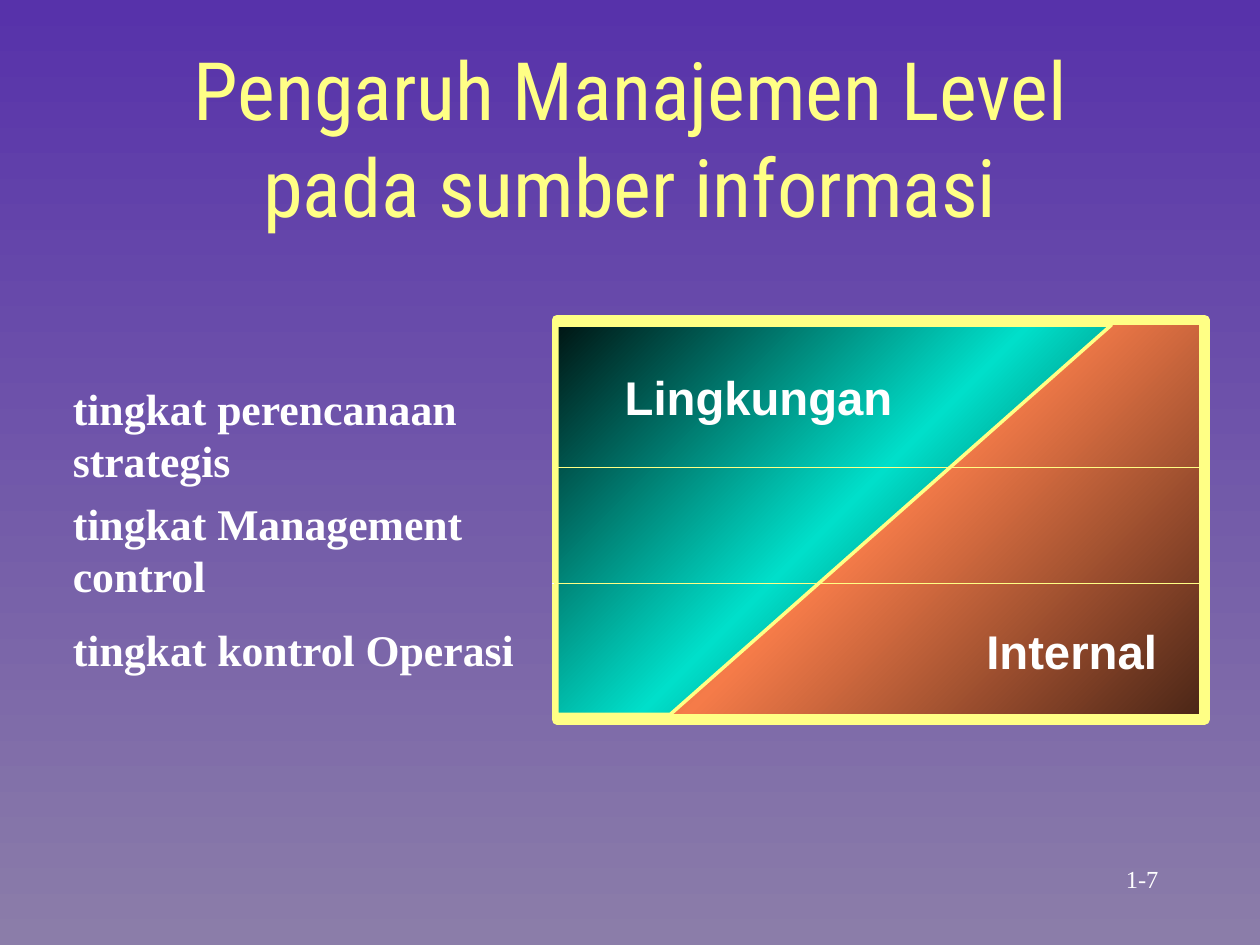
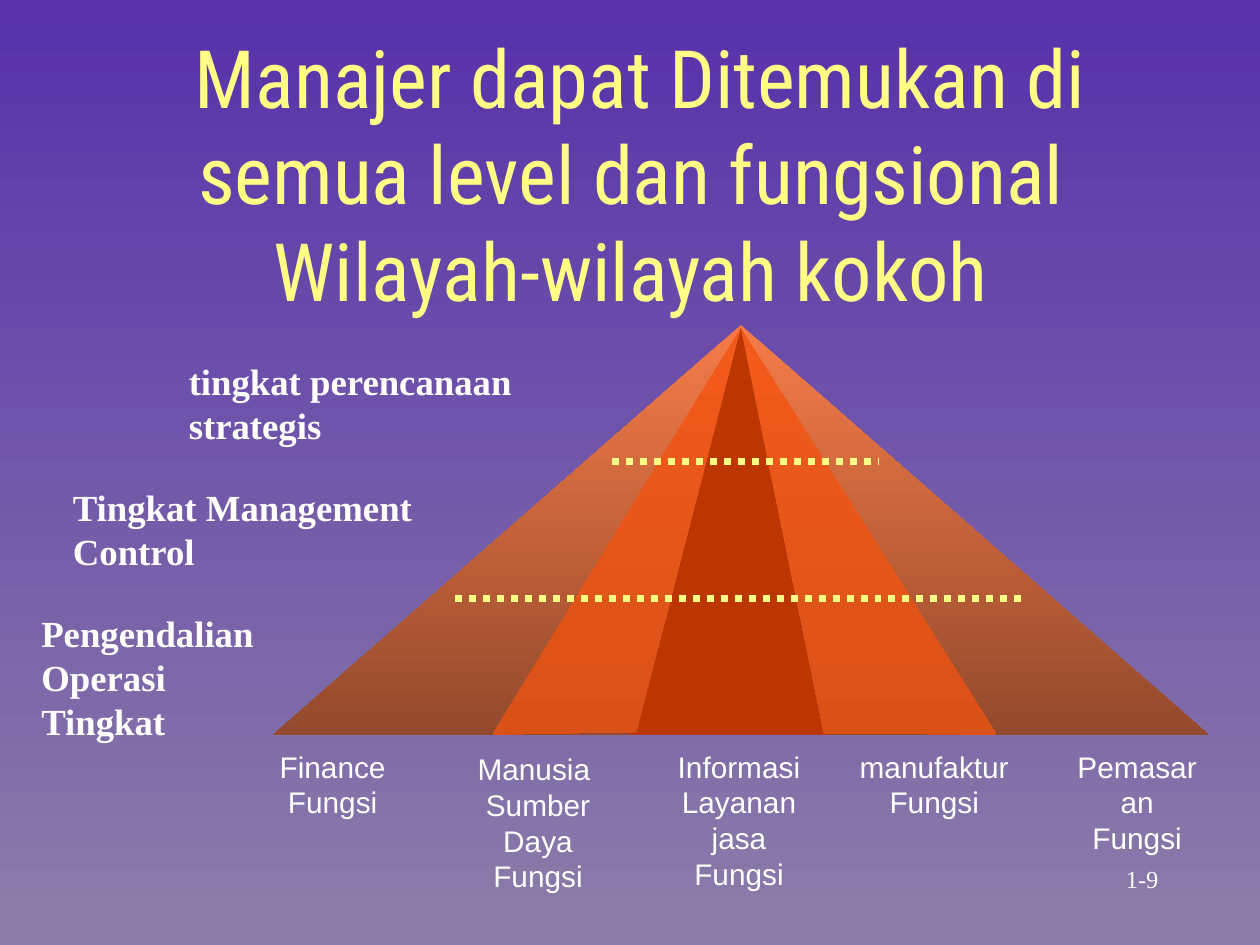
from dataclasses import dataclass

from lxml.etree import SubElement
from pptx import Presentation
from pptx.dml.color import RGBColor
from pptx.enum.dml import MSO_LINE
from pptx.enum.shapes import MSO_CONNECTOR, MSO_SHAPE
from pptx.enum.text import MSO_ANCHOR, PP_ALIGN
from pptx.oxml.ns import qn
from pptx.util import Inches, Pt

SKY_TOP = RGBColor(0x57, 0x32, 0xAA)
SKY_BOTTOM = RGBColor(0x8B, 0x7D, 0xA9)
YELLOW = RGBColor(0xFF, 0xFF, 0x85)
WHITE = RGBColor(0xFF, 0xFF, 0xFF)
ORANGE = RGBColor(0xF5, 0x7B, 0x49)
BROWN = RGBColor(0x49, 0x25, 0x16)
RUST = RGBColor(0x93, 0x4A, 0x2C)
TEAL = RGBColor(0x00, 0xDF, 0xCA)
DARK_TEAL = RGBColor(0x00, 0x16, 0x14)
FACE_TOP = RGBColor(0xF3, 0x5B, 0x1B)
FACE_BOTTOM = RGBColor(0xDA, 0x51, 0x18)
FACE_CENTRE = RGBColor(0xBC, 0x37, 0x00)
TITLE_FONT = "Roboto Condensed"
SERIF = "Times New Roman"
SANS = "Arial"
NBSP = "\u00a0"


@dataclass
class Box:
    """A region of the slide, in inches."""
    left: float
    top: float
    width: float
    height: float

    def inner(self, x, y, width, height):
        """Return a box offset from this one's corner."""
        return Box(self.left + x, self.top + y, width, height)

    def point(self, x, y):
        """Return the slide position of an offset point."""
        return Inches(self.left + x), Inches(self.top + y)

    def frame(self):
        """Return left, top, width and height as lengths."""
        return [Inches(v) for v in (self.left, self.top, self.width, self.height)]


def paint_gradient(fill, element, colours, angle):
    """Fill with evenly spaced colour stops at a clockwise angle."""
    fill.gradient()
    gradient = next(element.iter(qn("a:gradFill")))
    stops = gradient.find(qn("a:gsLst"))
    for stop in list(stops):
        stops.remove(stop)
    for index, colour in enumerate(colours):
        position = index * 100000 // (len(colours) - 1)
        stop = SubElement(stops, qn("a:gs"), pos=str(position))
        SubElement(stop, qn("a:srgbClr"), val=str(colour))
    gradient.find(qn("a:lin")).set("ang", str(angle * 60000))


def finish(shape, colours, angle=90, border=0):
    """Give a shape its fill, border and no shadow."""
    shape.shadow.inherit = False
    if len(colours) == 1:
        shape.fill.solid()
        shape.fill.fore_color.rgb = colours[0]
    else:
        paint_gradient(shape.fill, shape._element.spPr, colours, angle)
    if border:
        shape.line.color.rgb = YELLOW
        shape.line.width = Pt(border)
    else:
        shape.line.fill.background()


def add_polygon(slide, box, corners, colours, angle=90, border=0):
    """Draw a closed outline through corners offset from the box."""
    points = [box.point(*corner) for corner in corners]
    builder = slide.shapes.build_freeform(*points[0])
    builder.add_line_segments(points[1:], close=True)
    finish(builder.convert_to_shape(), colours, angle, border)


def add_rule(slide, box, start, end, y, colour=YELLOW, width=1, dash=None):
    """Draw a horizontal line at a height within the box."""
    rule = slide.shapes.add_connector(
        MSO_CONNECTOR.STRAIGHT, *box.point(start, y), *box.point(end, y))
    rule.line.color.rgb = colour
    rule.line.width = Pt(width)
    if dash:
        rule.line.dash_style = dash
    SubElement(rule._element.spPr, qn("a:effectLst"))


def add_text(slide, box, paragraphs, font, size, colour=WHITE, bold=False,
             align=PP_ALIGN.LEFT, anchor=MSO_ANCHOR.TOP):
    """Place wrapped paragraphs; a newline inside one is a line break."""
    frame = slide.shapes.add_textbox(*box.frame()).text_frame
    frame.word_wrap = True
    frame.vertical_anchor = anchor
    for index, text in enumerate(paragraphs):
        paragraph = frame.add_paragraph() if index else frame.paragraphs[0]
        paragraph.alignment = align
        for number, line in enumerate(text.split("\n")):
            if number:
                paragraph.add_line_break()
            run = paragraph.add_run()
            run.text = line
            run.font.name = font
            run.font.size = Pt(size)
            run.font.bold = bold
            run.font.color.rgb = colour


def add_slide(prs, title_box, title, number):
    """Add a blank slide with its title and page number."""
    slide = prs.slides.add_slide(prs.slide_layouts[6])
    centred = dict(align=PP_ALIGN.CENTER, anchor=MSO_ANCHOR.MIDDLE)
    add_text(slide, title_box, [title], TITLE_FONT, 46, YELLOW, **centred)
    add_text(slide, Box(8.83, 6.8, 0.47, 0.34), [number], SERIF, 14, **centred)
    return slide


def add_levels(slide, box, levels, size):
    """Place bold level names at their offsets and widths."""
    for x, y, width, paragraphs in levels:
        add_text(slide, box.inner(x, y, width, 0.5), paragraphs, SERIF, size, bold=True)


def add_source_matrix(slide, box):
    """Draw the split panel of environmental and internal information."""
    panel = slide.shapes.add_shape(MSO_SHAPE.RECTANGLE, *box.frame())
    finish(panel, [BROWN, ORANGE, BROWN], 45, 6)
    environment = [(0, 0.04), (4.4, 0.04), (0.9, 3.13), (0, 3.13)]
    add_polygon(slide, box, environment, [DARK_TEAL, TEAL, DARK_TEAL], 45, 2)
    for y, start, end in ((1.17, -0.02, 3.3), (2.09, -0.04, 2.28)):
        add_rule(slide, box, start, end, y, WHITE)
        add_rule(slide, box, -0.02, 5.18, y)
    for text, x, y, width in (("Lingkungan", 0.44, 0.33, 2.81),
                              ("Internal", 3.31, 2.35, 1.56)):
        add_text(slide, box.inner(x, y, width, 0.55), [text], SANS, 27, bold=True)


def add_pyramid(slide, box):
    """Draw the pyramid of functions cut into three levels."""
    pyramid = slide.shapes.add_shape(MSO_SHAPE.ISOSCELES_TRIANGLE, *box.frame())
    finish(pyramid, [ORANGE, RUST])
    apex, base = (box.width / 2, 0.02), box.height
    faces = [
        ([(2.83, base), (4.4, base)], [FACE_CENTRE]),
        ([(4.37, base - 0.01), (5.74, base)], [FACE_TOP, FACE_BOTTOM]),
        ([(1.74, base), (2.88, base - 0.02)], [FACE_TOP, FACE_BOTTOM]),
    ]
    for feet, colours in faces:
        add_polygon(slide, box, [apex, *feet], colours)
    for level, start, end in ((1, 2.69, 4.8), (2, 1.44, 5.97)):
        add_rule(slide, box, start, end, level * base / 3, width=4,
                 dash=MSO_LINE.ROUND_DOT)


def add_functions(slide, box):
    """Place the names of the functions under the pyramid."""
    functions = [
        (0, 0, 1.12, ["Finance", "Fungsi"]),
        (1.53, 0.02, 1.32, ["Manusia" + NBSP, "Sumber Daya", "Fungsi"]),
        (3.09, 0, 1.39, ["Informasi", "Layanan jasa", "Fungsi"]),
        (4.48, 0, 1.71, ["manufaktur", "Fungsi"]),
        (6.37, 0, 1.15, ["Pemasaran", "Fungsi"]),
    ]
    for x, y, width, lines in functions:
        add_text(slide, box.inner(x, y, width, box.height), lines, SANS, 17,
                 align=PP_ALIGN.CENTER)


def build_sources_slide(prs):
    """Build the slide on management level and information sources."""
    slide = add_slide(prs, Box(0.75, 0.42, 8.5, 1.33),
                      "Pengaruh Manajemen Level pada sumber informasi", "1-7")
    add_levels(slide, Box(0.48, 2.98, 4.07, 2.43), [
        (0, 0, 3.7, ["tingkat perencanaan strategis"]),
        (0, 0.91, 4.07, ["tingkat Management control"]),
        (0, 1.91, 3.92, ["tingkat kontrol Operasi"]),
    ], 25)
    add_source_matrix(slide, Box(4.42, 2.54, 5.14, 3.17))


def build_functions_slide(prs):
    """Build the slide on managers at all levels and functions."""
    title = f"Manajer dapat Ditemukan di semua level dan fungsional{NBSP}\nWilayah-wilayah kokoh{NBSP}"
    slide = add_slide(prs, Box(0.83, 0.33, 8.5, 2.08), title, "1-9")
    add_pyramid(slide, Box(2.17, 2.58, 7.42, 3.25))
    add_functions(slide, Box(2.08, 5.89, 7.62, 0.95))
    add_levels(slide, Box(0.23, 2.8, 4.31, 2.8), [
        (1.17, 0, 3.14, ["tingkat perencanaan strategis"]),
        (0.25, 1, 3.65, ["Tingkat Management Control"]),
        (0, 2, 2.84, ["Pengendalian Operasi" + NBSP, "Tingkat"]),
    ], 21)


def main():
    """Build and save the presentation."""
    prs = Presentation()
    prs.slide_width, prs.slide_height = Inches(10), Inches(7.5)
    master = prs.slide_master
    paint_gradient(master.background.fill, master._element.cSld, [SKY_TOP, SKY_BOTTOM], 90)
    build_sources_slide(prs)
    build_functions_slide(prs)
    prs.save("out.pptx")


main()
